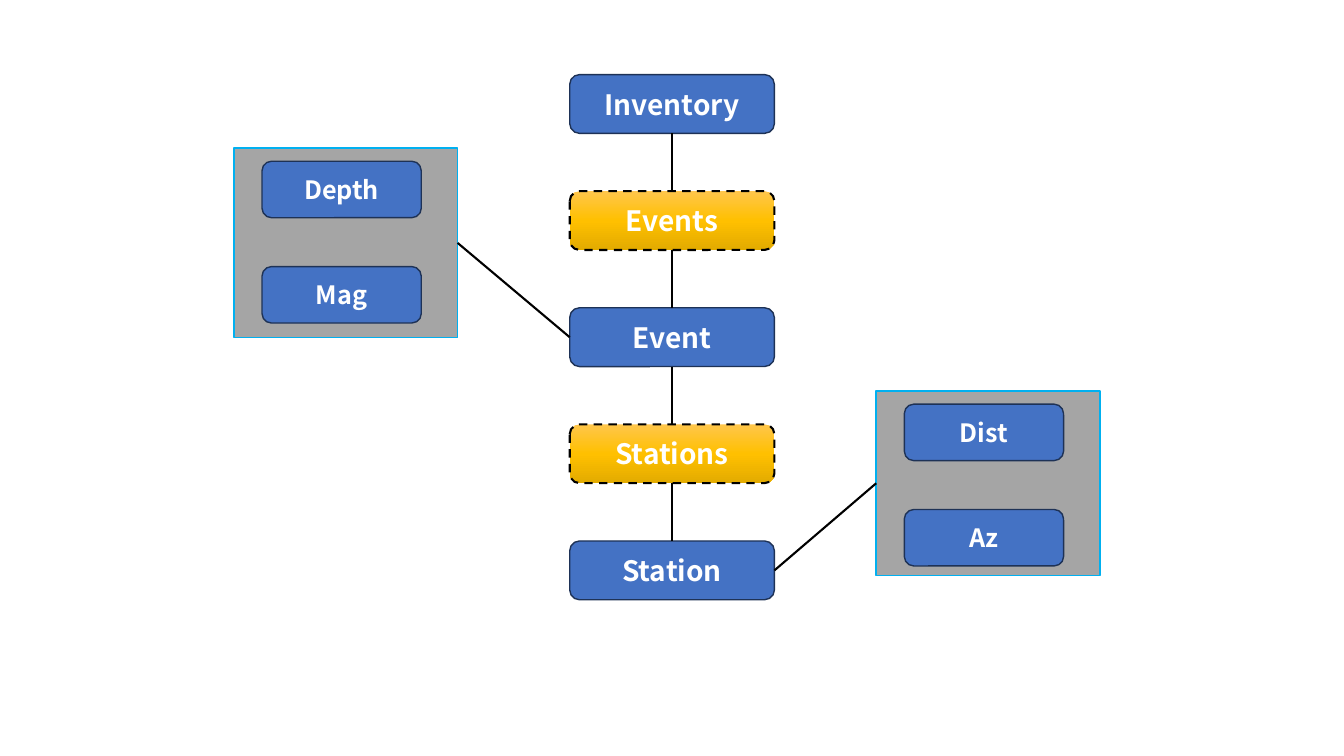
from copy import deepcopy
from itertools import pairwise

from lxml.etree import SubElement
from pptx import Presentation
from pptx.dml.color import RGBColor
from pptx.enum.dml import MSO_LINE as Dash
from pptx.enum.shapes import MSO_CONNECTOR as Conn, MSO_SHAPE as Kind
from pptx.enum.text import MSO_ANCHOR as Anchor, PP_ALIGN as Align
from pptx.oxml.ns import qn
from pptx.util import Inches, Pt

WIDE, HIGH = 13.33, 7.5
FONT = "Noto Sans CJK SC"
HUES = {
    "node": "4472C4", "edge": "1E3256", "panel": "A5A5A5", "frame": "00B0F0",
    "ink": "000000", "text": "FFFFFF",
    "light": "FFC64B", "gold": "FFC000", "dark": "E3AB00",
}
TOP, LEFT, BOTTOM, RIGHT = range(4)

# Boxes are left, top, width, height in percent of the slide
STACK = (42.39, 9.87, 15.23, 69.47)
EVENT_BOX = (17.4, 19.6, 16.65, 25.07)
STATION_BOX = (65.19, 51.73, 16.65, 24.4)
NODE_H = 7.78
CHIP = (2.1, 1.73, 11.85, 7.47)  # offset in its panel, then size
CHIP_STEP = 13.93
LEVELS = ("Inventory", "Events", "Event", "Stations", "Station")
GROUPS = ("Events", "Stations")


def hue(name):
    return RGBColor.from_string(HUES[name])


def block(slide, kind, box, fill, edge):
    x, y, w, h = box
    shape = slide.shapes.add_shape(
        kind, Inches(x * WIDE / 100), Inches(y * HIGH / 100),
        Inches(w * WIDE / 100), Inches(h * HIGH / 100))
    shape.shadow.inherit = False
    shape.fill.solid()
    shape.fill.fore_color.rgb = hue(fill)
    shape.line.color.rgb = hue(edge)
    shape.line.width = Pt(1)
    return shape


def node(slide, box, text, size):
    shape = block(slide, Kind.ROUNDED_RECTANGLE, box, "node", "edge")
    frame = shape.text_frame
    frame.vertical_anchor = Anchor.MIDDLE
    para = frame.paragraphs[0]
    para.alignment = Align.CENTER
    run = para.add_run()
    run.text = text
    font = run.font
    font.name, font.size, font.bold = FONT, Pt(size), True
    font.color.rgb = hue("text")
    return shape


def gild(shape):
    """Give a group node its gold gradient and dashed outline."""
    fill = shape.fill
    fill.gradient()
    fill.gradient_angle = 270
    stops = shape.element.spPr.find(qn("a:gradFill")).find(qn("a:gsLst"))
    stops.append(deepcopy(stops[0]))
    tones = ((0, "light"), (0.5, "gold"), (1, "dark"))
    for stop, (place, tone) in zip(fill.gradient_stops, tones):
        stop.position = place
        stop.color.rgb = hue(tone)
    shape.line.color.rgb = hue("ink")
    shape.line.width = Pt(1.5)
    shape.line.dash_style = Dash.DASH


def link(slide, start, side, end, face):
    line = slide.shapes.add_connector(Conn.STRAIGHT, 0, 0, 0, 0)
    line.begin_connect(start, side)
    line.end_connect(end, face)
    line.line.color.rgb = hue("ink")
    line.line.width = Pt(1.5)
    SubElement(line.element.spPr, qn("a:effectLst"))


def stack(slide, box):
    """Draw the central chain and return its nodes by name."""
    x, y, w, h = box
    step = (h - NODE_H) / (len(LEVELS) - 1)
    nodes = {}
    for row, name in enumerate(LEVELS):
        nodes[name] = node(slide, (x, y + row * step, w, NODE_H), name, 20)
        if name in GROUPS:
            gild(nodes[name])
    for upper, lower in pairwise(nodes.values()):
        link(slide, upper, BOTTOM, lower, TOP)
    return nodes


def panel(slide, box, names):
    """Draw a grey box of attributes and return the box."""
    back = block(slide, Kind.RECTANGLE, box, "panel", "frame")
    dx, dy, w, h = CHIP
    for row, name in enumerate(names):
        place = (box[0] + dx, box[1] + dy + row * CHIP_STEP, w, h)
        node(slide, place, name, 18)
    return back


def main():
    deck = Presentation()
    deck.slide_width, deck.slide_height = Inches(WIDE), Inches(HIGH)
    slide = deck.slides.add_slide(deck.slide_layouts[6])
    nodes = stack(slide, STACK)
    traits = panel(slide, EVENT_BOX, ("Depth", "Mag"))
    link(slide, nodes["Event"], LEFT, traits, RIGHT)
    traits = panel(slide, STATION_BOX, ("Dist", "Az"))
    link(slide, traits, LEFT, nodes["Station"], RIGHT)
    deck.save("out.pptx")


if __name__ == "__main__":
    main()
